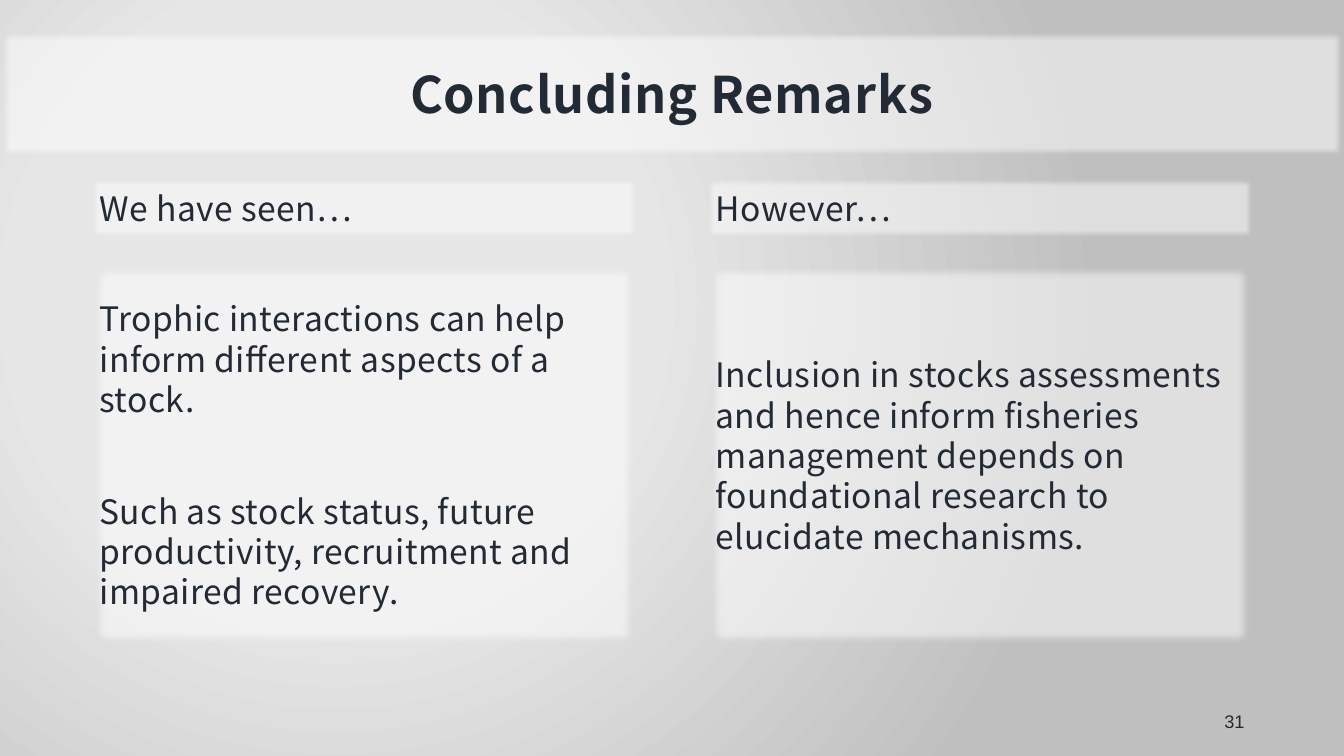
from lxml import etree
from pptx import Presentation
from pptx.dml.color import RGBColor
from pptx.enum.shapes import MSO_SHAPE
from pptx.enum.text import MSO_ANCHOR, PP_ALIGN
from pptx.oxml import parse_xml
from pptx.oxml.ns import qn
from pptx.util import Pt

RECTANGLE = MSO_SHAPE.RECTANGLE
MIDDLE = MSO_ANCHOR.MIDDLE
LEFT, CENTER, RIGHT = PP_ALIGN.LEFT, PP_ALIGN.CENTER, PP_ALIGN.RIGHT

DRAWING = "http://schemas.openxmlformats.org/drawingml/2006/main"
COLORS = {
    "text": "222A35",
    "panel": "FFFFFF",
    "center": "E8E7E7",
    "middle": "E7E6E6",
    "edge": "C0BFBF",
}
FONT = "Noto Sans CJK JP"
NUMBER_FONT = "Arial"

SLIDE_WIDTH, SLIDE_HEIGHT = 960, 540
COLUMN_LEFTS = (64, 504)
COLUMN_WIDTH = 392
COLUMNS = (
    ("We have seen…", (
        "Trophic interactions can help inform different aspects of a stock.",
        "Such as stock status, future productivity, recruitment and "
        "impaired recovery.",
    )),
    ("However…", (
        "Inclusion in stocks assessments and hence inform fisheries "
        "management depends on foundational research to elucidate mechanisms.",
    )),
)


def set_background(slide):
    """Circular gradient, light at the left and darker towards the right."""
    fill = slide.background.fill
    fill.gradient()
    gradient = slide.element.find(".//" + qn("a:gradFill"))
    stops = "".join(
        f'<a:gs pos="{position * 1000}"><a:srgbClr val="{COLORS[name]}"/></a:gs>'
        for position, name in ((0, "center"), (41, "middle"), (100, "edge"))
    )
    gradient.getparent().replace(gradient, parse_xml(
        f'<a:gradFill xmlns:a="{DRAWING}" rotWithShape="1">'
        f'<a:gsLst>{stops}</a:gsLst><a:path path="circle">'
        '<a:fillToRect l="50000" t="80000" r="100000" b="100000"/>'
        '</a:path></a:gradFill>'
    ))


def add_panel(slide, left, top, width, height, soft_edge):
    """Half-transparent white rectangle with blurred edges."""
    shape = slide.shapes.add_shape(
        RECTANGLE, Pt(left), Pt(top), Pt(width), Pt(height))
    shape.shadow.inherit = False
    shape.line.fill.background()
    shape.fill.solid()
    shape.fill.fore_color.rgb = RGBColor.from_string(COLORS["panel"])
    color = shape.element.spPr.find(".//" + qn("a:srgbClr"))
    etree.SubElement(color, qn("a:alpha"), val="50000")
    effects = shape.element.spPr.find(qn("a:effectLst"))
    etree.SubElement(effects, qn("a:softEdge"), rad=str(Pt(soft_edge)))
    return shape


def write_text(shape, texts, size, font=FONT, align=LEFT, bold=False,
               tracking=0, line_height=None, gap=0):
    frame = shape.text_frame
    frame.word_wrap = True
    frame.vertical_anchor = MIDDLE
    for index, text in enumerate(texts):
        paragraph = frame.add_paragraph() if index else frame.paragraphs[0]
        paragraph.alignment = align
        if line_height:
            paragraph.line_spacing = Pt(line_height)
        if index:
            paragraph.space_before = Pt(gap)
        run = paragraph.add_run()
        run.text = text
        run.font.name = font
        run.font.size = Pt(size)
        run.font.bold = bold
        run.font.color.rgb = RGBColor.from_string(COLORS["text"])
        if tracking:
            run.font._element.set("spc", str(round(tracking * 100)))


def add_column(slide, left, heading, remarks):
    heading_panel = add_panel(slide, left, 126, COLUMN_WIDTH, 45, soft_edge=4)
    write_text(heading_panel, [heading], 24, tracking=0.3, line_height=28.8)
    remarks_panel = add_panel(slide, left, 187, COLUMN_WIDTH, 276, soft_edge=6)
    write_text(remarks_panel, remarks, 24, tracking=0.3, line_height=28.8, gap=51)


def add_slide_number(slide, number):
    box = slide.shapes.add_textbox(Pt(792), Pt(500.5), Pt(104), Pt(29))
    write_text(box, [number], 13, font=NUMBER_FONT, align=RIGHT)


def main():
    presentation = Presentation()
    presentation.slide_width = Pt(SLIDE_WIDTH)
    presentation.slide_height = Pt(SLIDE_HEIGHT)
    slide = presentation.slides.add_slide(presentation.slide_layouts[6])
    set_background(slide)

    # Title band
    title = add_panel(slide, 0, 21.5, SLIDE_WIDTH, 90, soft_edge=4)
    write_text(title, ["Concluding Remarks"], 36, align=CENTER, bold=True,
               tracking=0.5, line_height=43.2)

    # Two columns of remarks
    for left, (heading, remarks) in zip(COLUMN_LEFTS, COLUMNS):
        add_column(slide, left, heading, remarks)

    add_slide_number(slide, "31")
    presentation.save("out.pptx")


if __name__ == "__main__":
    main()
